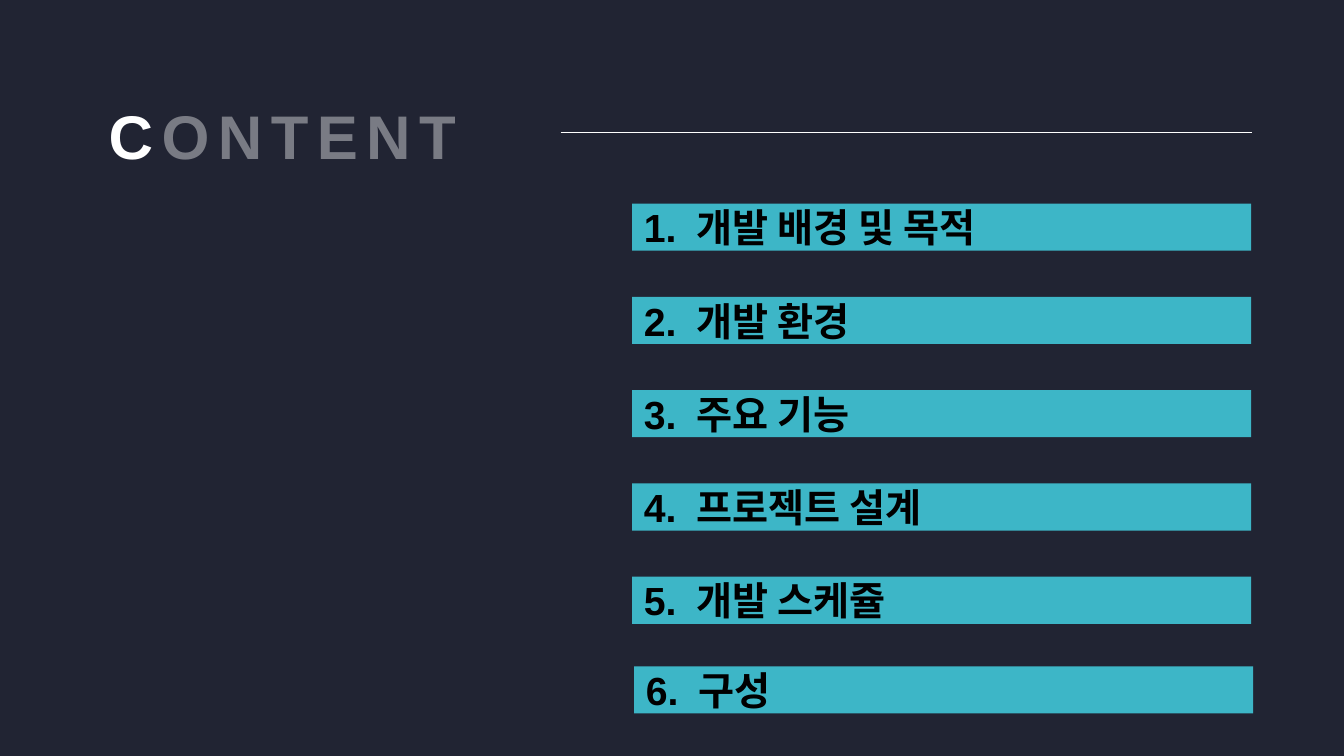
from lxml import etree
from pptx import Presentation, util as u
from pptx.dml.color import RGBColor
from pptx.enum import shapes, text
from pptx.oxml.ns import qn

INITIAL, REST = "C", "ONTENTS"
CHAPTERS = ["개발 배경 및 목적", "개발 환경", "주요 기능", "프로젝트 설계", "개발 스케쥴", "구성"]
NAVY, TEAL, WHITE, BLACK = "212433", "3DB6C7", "FFFFFF", "000000"

# Centimetres
BAR_LEFT, BAR_TOP, BAR_WIDTH, BAR_HEIGHT, BAR_PITCH = 15.93, 5.13, 15.6, 1.19, 2.35
LAST_BAR = (15.98, 16.79)
CHAPTER_TAB = 1.32


def paint(color_format, hex_color):
    color_format.rgb = RGBColor.from_string(hex_color)


def style(run, size, hex_color):
    run.font.name = "Arial"
    run.font.size = u.Pt(size)
    run.font.bold = True
    paint(run.font.color, hex_color)


def set_frame(frame, anchor, left=0):
    frame.margin_left = u.Cm(left)
    frame.margin_top = frame.margin_right = frame.margin_bottom = 0
    frame.vertical_anchor = anchor
    frame.word_wrap = True


def add_heading(slide):
    heading = slide.shapes.title
    heading.left, heading.top = u.Cm(2.74), u.Cm(2.46)
    heading.width, heading.height = u.Cm(13.92), u.Cm(1.88)
    set_frame(heading.text_frame, text.MSO_ANCHOR.BOTTOM)
    line = heading.text_frame.paragraphs[0]
    line.alignment = text.PP_ALIGN.LEFT
    for part in (INITIAL, REST):
        run = line.add_run()
        run.text = part
        style(run, 44, WHITE)
        run.font._element.set("spc", "600")
    faded = run.font._element.find(".//" + qn("a:srgbClr"))
    etree.SubElement(faded, qn("a:alpha")).set("val", "40000")


def add_rule(slide):
    rule = slide.shapes.add_connector(
        shapes.MSO_CONNECTOR.STRAIGHT, u.Cm(14.13), u.Cm(3.33), u.Cm(31.54), u.Cm(3.33))
    paint(rule.line.color, WHITE)
    rule.line.width = u.Pt(0.5)
    etree.SubElement(rule._element.spPr, qn("a:effectLst"))


def add_chapter(slide, number, chapter, left, top):
    bar = slide.shapes.add_shape(
        shapes.MSO_SHAPE.RECTANGLE, u.Cm(left), u.Cm(top), u.Cm(BAR_WIDTH), u.Cm(BAR_HEIGHT))
    bar.shadow.inherit = False
    bar.fill.solid()
    paint(bar.fill.fore_color, TEAL)
    bar.line.fill.background()
    set_frame(bar.text_frame, text.MSO_ANCHOR.MIDDLE, left=0.3)
    line = bar.text_frame.paragraphs[0]
    line.text = f"{number}.\t{chapter}"
    line.alignment = text.PP_ALIGN.LEFT
    tabs = etree.SubElement(line._p.get_or_add_pPr(), qn("a:tabLst"))
    etree.SubElement(tabs, qn("a:tab"), pos=str(u.Cm(CHAPTER_TAB)), algn="l")
    for run in line.runs:
        style(run, 28, BLACK)


def main():
    deck = Presentation()
    deck.slide_width, deck.slide_height = u.Cm(33.87), u.Cm(19.05)
    slide = deck.slides.add_slide(deck.slide_layouts[5])
    slide.background.fill.solid()
    paint(slide.background.fill.fore_color, NAVY)
    add_heading(slide)
    add_rule(slide)
    places = [(BAR_LEFT, BAR_TOP + i * BAR_PITCH) for i in range(len(CHAPTERS) - 1)]
    places.append(LAST_BAR)
    for number, (chapter, place) in enumerate(zip(CHAPTERS, places), 1):
        add_chapter(slide, number, chapter, *place)
    deck.save("out.pptx")


if __name__ == "__main__":
    main()
